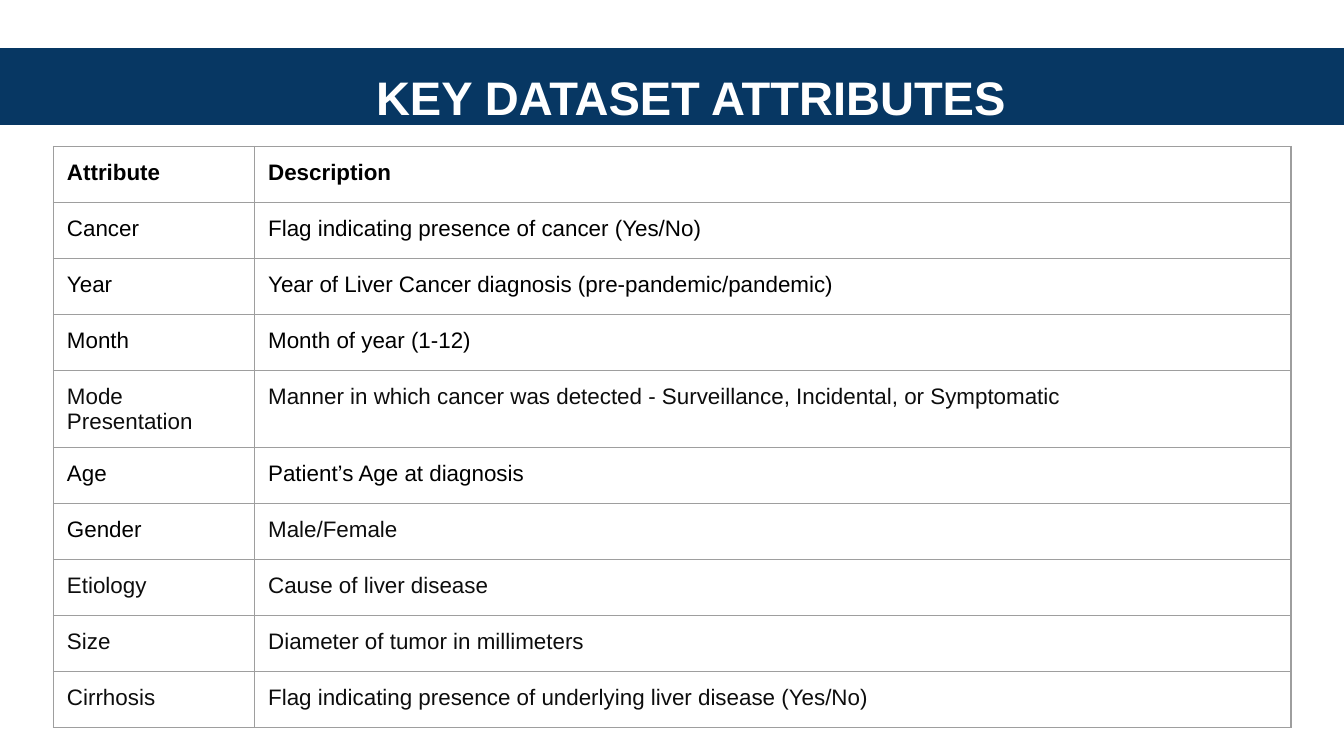
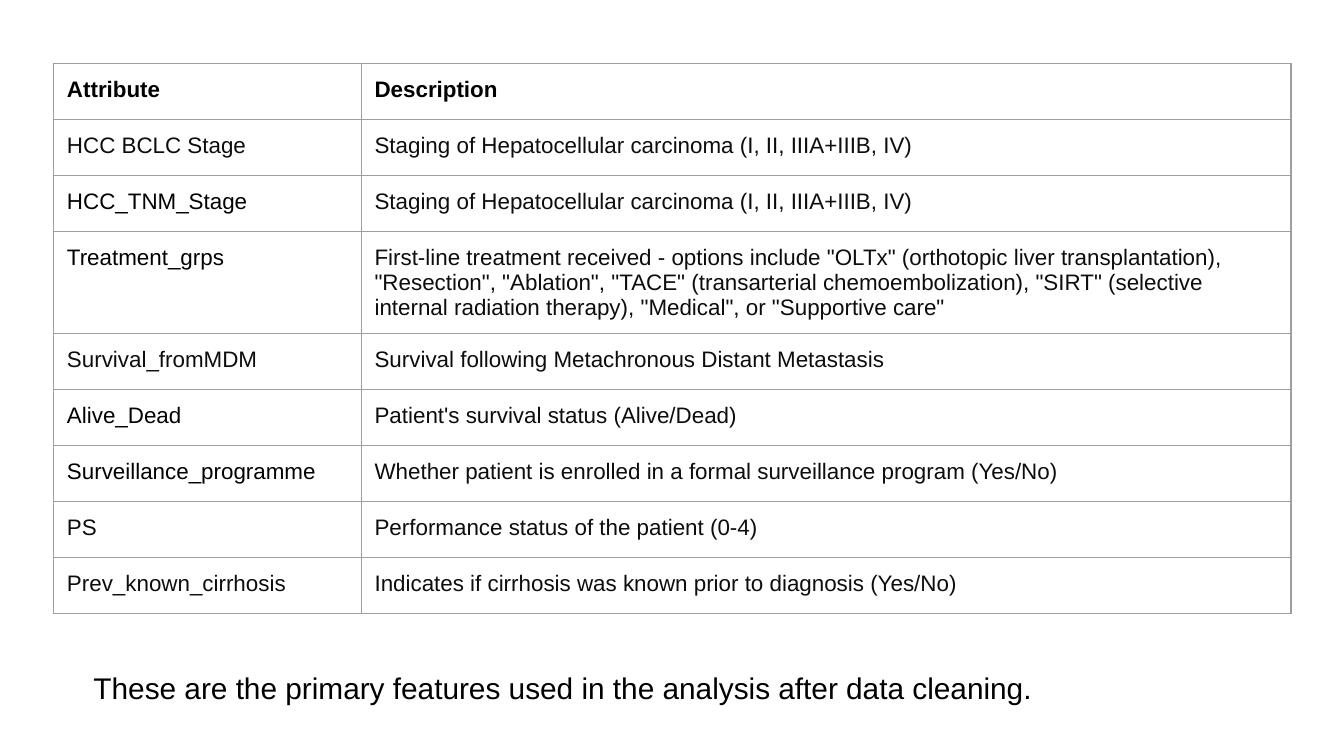
from dataclasses import dataclass

from lxml import etree
from pptx import Presentation
from pptx import util as u
from pptx.dml.color import RGBColor
from pptx.enum import text
from pptx.oxml.ns import qn


@dataclass(frozen=True)
class Theme:
    font: str = "Arial"
    band: str = "073763"
    on_band: str = "FFFFFF"
    ink: str = "000000"
    soft_ink: str = "0D0D0D"
    border: str = "9E9E9E"
    title_size: float = 25.2
    table_size: float = 12
    caption_size: float = 16
    border_width: float = 0.75
    inset: float = 7.2


THEME = Theme()
TITLE_ONLY, BLANK = 5, 6
SLIDE_WIDTH, SLIDE_HEIGHT = 720, 405
TABLE_LEFT, TABLE_WIDTH, ROW_HEIGHT = 28.7, 663, 30

# Columns of a row set in the softer ink
PLAIN, DESCRIPTION, BOTH = (), (1,), (0, 1)

HEADER = ("Attribute", "Description", PLAIN)
KEY_ATTRIBUTES = [
    ("Cancer", "Flag indicating presence of cancer (Yes/No)", PLAIN),
    ("Year", "Year of Liver Cancer diagnosis (pre-pandemic/pandemic)", PLAIN),
    ("Month", "Month of year (1-12)", PLAIN),
    ("Mode Presentation",
     "Manner in which cancer was detected - Surveillance, Incidental, or Symptomatic", BOTH),
    ("Age", "Patient’s Age at diagnosis", PLAIN),
    ("Gender", "Male/Female", DESCRIPTION),
    ("Etiology", "Cause of liver disease", BOTH),
    ("Size", "Diameter of tumor in millimeters", BOTH),
    ("Cirrhosis", "Flag indicating presence of underlying liver disease (Yes/No)", BOTH),
]
STAGING = "Staging of Hepatocellular carcinoma (I, II, IIIA+IIIB, IV)"
CLINICAL_ATTRIBUTES = [
    ("HCC BCLC Stage", STAGING, BOTH),
    ("HCC_TNM_Stage", STAGING, DESCRIPTION),
    ("Treatment_grps",
     'First-line treatment received - options include "OLTx" (orthotopic liver '
     'transplantation), "Resection", "Ablation", "TACE" (transarterial '
     'chemoembolization), "SIRT" (selective internal radiation therapy), '
     '"Medical", or "Supportive care"', DESCRIPTION),
    ("Survival_fromMDM", "Survival following Metachronous Distant Metastasis", BOTH),
    ("Alive_Dead", "Patient's survival status (Alive/Dead)", DESCRIPTION),
    ("Surveillance_programme",
     "Whether patient is enrolled in a formal surveillance program (Yes/No)", DESCRIPTION),
    ("PS", "Performance status of the patient (0-4)", BOTH),
    ("Prev_known_cirrhosis",
     "Indicates if cirrhosis was known prior to diagnosis (Yes/No)", BOTH),
]


def apply_format(target, values):
    for name, value in values.items():
        setattr(target, name, value)


def place(shape, left, top, width, height):
    box = dict(left=left, top=top, width=width, height=height)
    apply_format(shape, {name: u.Pt(value) for name, value in box.items()})


def write(frame, words, size, color, bold=False, align=text.PP_ALIGN.LEFT):
    paragraph = frame.paragraphs[0]
    paragraph.alignment = align
    run = paragraph.add_run()
    run.text = words
    apply_format(run.font, dict(name=THEME.font, size=u.Pt(size), bold=bold))
    run.font.color.rgb = RGBColor.from_string(color)


def set_insets(target, **changes):
    sides = dict.fromkeys(("left", "top", "right", "bottom"), THEME.inset) | changes
    apply_format(target, {f"margin_{side}": u.Pt(value) for side, value in sides.items()})


def add_title_band(slide, words):
    title = slide.shapes.title
    place(title, 0, 25.8, SLIDE_WIDTH, 41.2)
    title.fill.solid()
    title.fill.fore_color.rgb = RGBColor.from_string(THEME.band)
    frame = title.text_frame
    apply_format(frame, dict(auto_size=text.MSO_AUTO_SIZE.NONE, word_wrap=True,
                             vertical_anchor=text.MSO_ANCHOR.TOP))
    # The wider left inset sets the title slightly right of centre
    set_insets(frame, left=27.5, top=11, bottom=0)
    write(frame, words, THEME.title_size, THEME.on_band, True, text.PP_ALIGN.CENTER)


def add_borders(cell):
    properties = cell._tc.get_or_add_tcPr()
    for side in ("lnL", "lnR", "lnT", "lnB"):
        line = etree.SubElement(properties, qn(f"a:{side}"), w=str(u.Pt(THEME.border_width)))
        fill = etree.SubElement(line, qn("a:solidFill"))
        etree.SubElement(fill, qn("a:srgbClr"), val=THEME.border)


def add_attribute_table(slide, top, name_width, attributes):
    rows = [HEADER, *attributes]
    table = slide.shapes.add_table(
        len(rows), 2, u.Pt(TABLE_LEFT), u.Pt(top),
        u.Pt(TABLE_WIDTH), u.Pt(ROW_HEIGHT * len(rows))).table
    apply_format(table, dict(first_row=False, horz_banding=False))
    for column, width in zip(table.columns, (name_width, TABLE_WIDTH - name_width)):
        column.width = u.Pt(width)
    for row_index, (name, description, soft) in enumerate(rows):
        for column_index, words in enumerate((name, description)):
            cell = table.cell(row_index, column_index)
            add_borders(cell)
            cell.fill.background()
            set_insets(cell)
            color = THEME.soft_ink if column_index in soft else THEME.ink
            write(cell.text_frame, words, THEME.table_size, color, bold=row_index == 0)


def add_caption(slide, words):
    caption = slide.shapes.add_textbox(u.Pt(43), u.Pt(351.5), u.Pt(577), u.Pt(33.8))
    caption.text_frame.word_wrap = True
    set_insets(caption.text_frame)
    write(caption.text_frame, words, THEME.caption_size, THEME.ink)


def main():
    presentation = Presentation()
    apply_format(presentation, dict(slide_width=u.Pt(SLIDE_WIDTH),
                                    slide_height=u.Pt(SLIDE_HEIGHT)))
    layouts = presentation.slide_layouts

    # Key attributes under the title band
    slide = presentation.slides.add_slide(layouts[TITLE_ONLY])
    add_title_band(slide, "KEY DATASET ATTRIBUTES")
    add_attribute_table(slide, 78.5, 107.8, KEY_ATTRIBUTES)

    # Clinical attributes with a closing caption
    slide = presentation.slides.add_slide(layouts[BLANK])
    add_attribute_table(slide, 34, 164.8, CLINICAL_ATTRIBUTES)
    add_caption(slide, "These are the primary features used in the analysis after data cleaning.")

    presentation.save("out.pptx")


if __name__ == "__main__":
    main()
